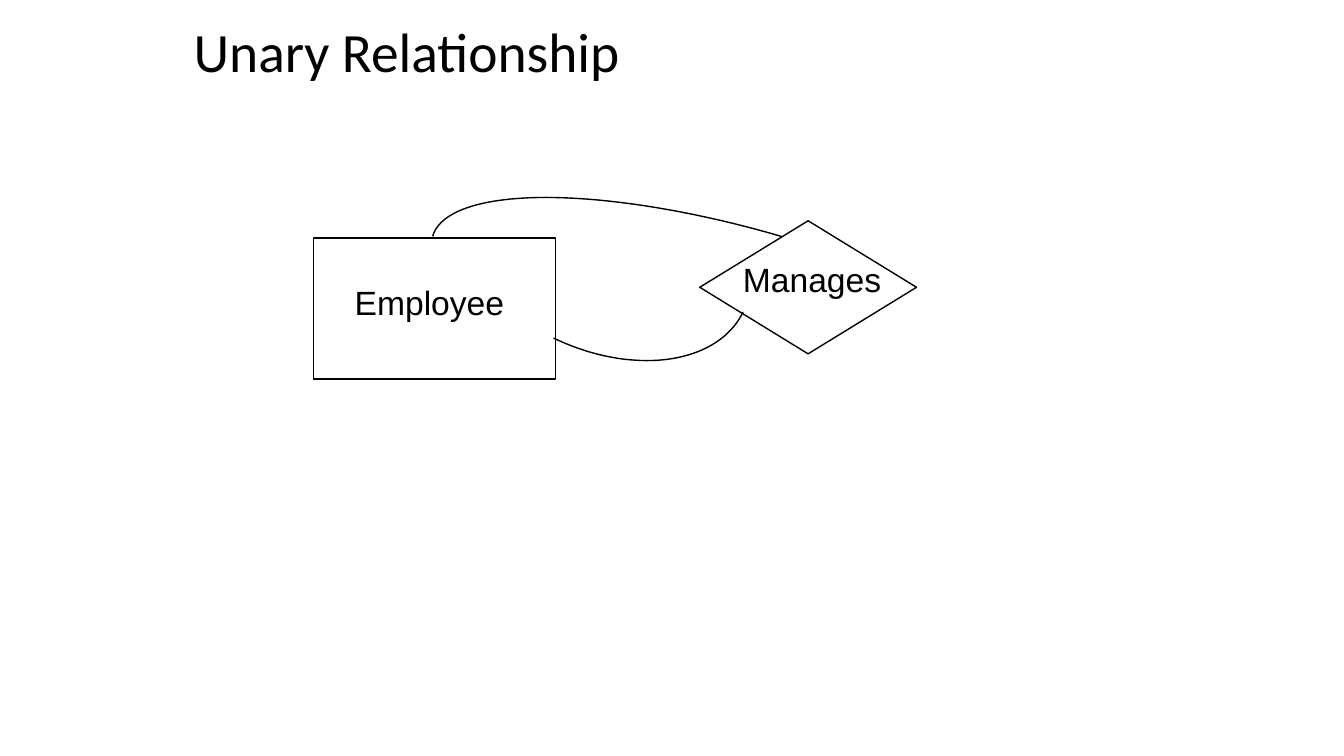
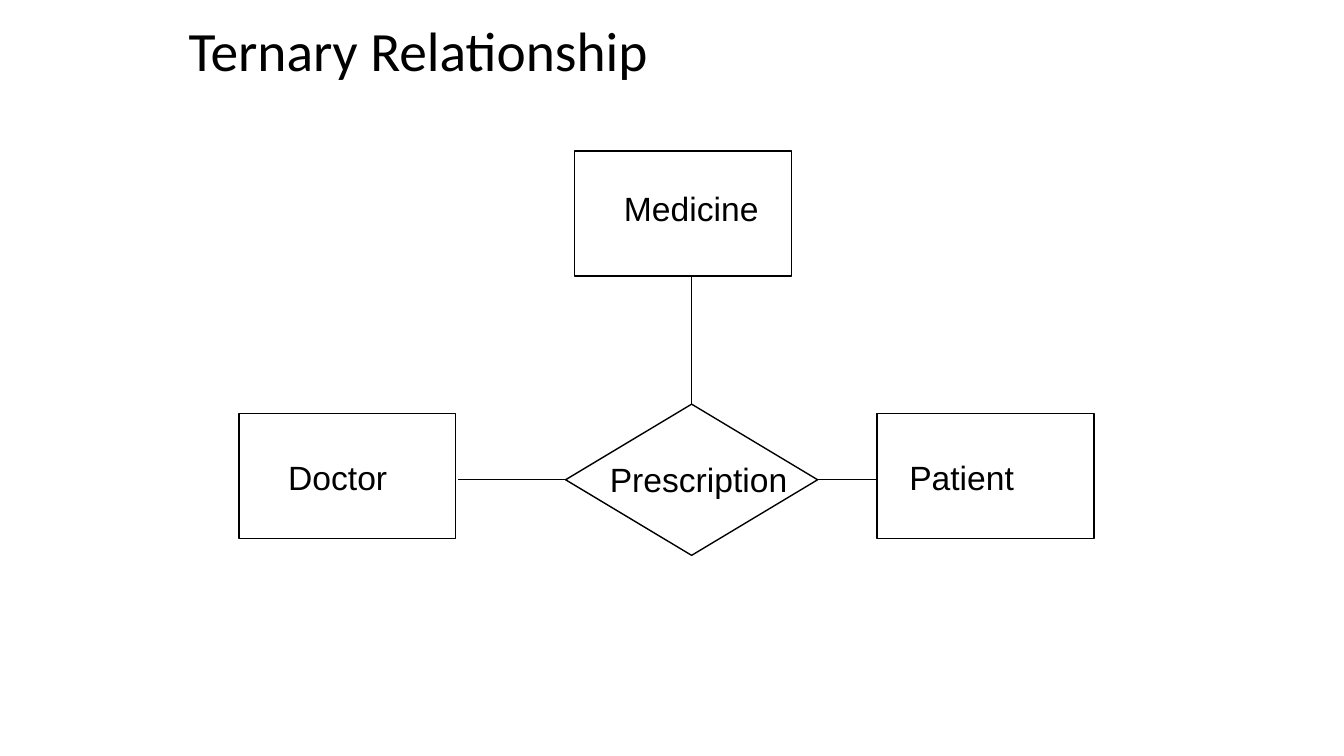
from math import cos, pi, sin

from lxml.etree import SubElement as Sub
from pptx import Presentation
from pptx.dml.color import RGBColor as Rgb
from pptx.enum.shapes import MSO_CONNECTOR as Link, MSO_SHAPE as Kind
from pptx.enum.text import MSO_ANCHOR as Anchor, MSO_AUTO_SIZE as Fit, PP_ALIGN as Align
from pptx.oxml.ns import qn
from pptx.util import Pt

PX = 9144
INK = "000000"
TOP, LEFT, RIGHT = 0, 1, 3
STEPS = 40


def px(*vals):
    """Turn px lengths into EMU."""
    return [round(v * PX) for v in vals]


def color(tone, code):
    """Set a colour from a hex string."""
    tone.rgb = Rgb.from_string(code)


def stroke(line):
    """Give a line the shared ink and width."""
    color(line.color, INK)
    line.width = Pt(1)


def write(frame, text, size, font):
    """Write one run into the first paragraph of a frame."""
    para = frame.paragraphs[0]
    para.alignment = Align.LEFT
    run = para.add_run()
    run.text = text
    run.font.size = Pt(size)
    run.font.name = font
    color(run.font.color, INK)
    return para


def start(deck, text, x, y):
    """Add a slide with its title placed at x, y."""
    slide = deck.slides.add_slide(deck.slide_layouts[5])
    title = slide.shapes.title
    title.left, title.top, title.width, title.height = px(x, y, 938, 56)
    frame = title.text_frame
    frame.auto_size = Fit.NONE
    frame.vertical_anchor = Anchor.MIDDLE
    frame.margin_left = 0
    write(frame, text, 39.6, "Calibri").line_spacing = 0.9
    return slide.shapes


def outline(shape):
    """Leave a shape with its outline only."""
    shape.shadow.inherit = False
    shape.fill.background()
    stroke(shape.line)
    return shape


def node(shapes, kind, *box):
    """Add an unfilled entity or relationship shape."""
    return outline(shapes.add_shape(kind, *px(*box)))


def label(shapes, text, *box):
    """Add a one-line label."""
    frame = shapes.add_textbox(*px(*box)).text_frame
    frame.word_wrap = False
    frame.auto_size = Fit.SHAPE_TO_FIT_TEXT
    write(frame, text, 24, "Arial")


def arc(shapes, x, y, wide, high, turn):
    """Draw a turned quarter ellipse around x, y with signed radii."""
    turns = [pi / 2 * i / STEPS for i in range(STEPS + 1)]
    first, *rest = [px(x + wide * cos(t), y + high * sin(t)) for t in turns]
    pen = shapes.build_freeform(*first)
    pen.add_line_segments(rest, close=False)
    outline(pen.convert_to_shape()).rotation = turn


def link(shapes, hub, side, x, y):
    """Join a side of the hub to the point x, y."""
    line = shapes.add_connector(Link.STRAIGHT, *px(x, y, x, y))
    line.begin_connect(hub, side)
    stroke(line.line)
    Sub(line.element.spPr, qn("a:effectLst"))


def unary(deck):
    """Build the unary relationship slide."""
    shapes = start(deck, "Unary Relationship", 192, 26)
    node(shapes, Kind.RECTANGLE, 311, 236, 240, 140)
    node(shapes, Kind.DIAMOND, 694, 219, 215, 132)
    arc(shapes, 564, 270, 158, 105, 25.8)
    arc(shapes, 768, 283, -332, -97, 16.3)
    label(shapes, "Employee", 342, 275, 170, 50)
    label(shapes, "Manages", 727, 252, 159, 50)


def ternary(deck):
    """Build the ternary relationship slide."""
    shapes = start(deck, "Ternary Relationship", 187, 25)
    for x, y in ((237, 410), (870, 410), (570, 150)):
        node(shapes, Kind.RECTANGLE, x, y, 215, 124)
    hub = node(shapes, Kind.DIAMOND, 561, 401, 250, 150)
    for side, x, y in ((TOP, 686, 275), (LEFT, 454, 476), (RIGHT, 869, 476)):
        link(shapes, hub, side, x, y)
    for text, x, y, wide in (
        ("Doctor", 276, 448, 119),
        ("Medicine", 609, 182, 155),
        ("Patient", 892, 448, 125),
        ("Prescription", 595, 450, 198),
    ):
        label(shapes, text, x, y, wide, 50)


def main():
    """Build and save the deck."""
    deck = Presentation()
    deck.slide_width, deck.slide_height = px(1333, 750)
    unary(deck)
    ternary(deck)
    deck.save("out.pptx")


if __name__ == "__main__":
    main()
